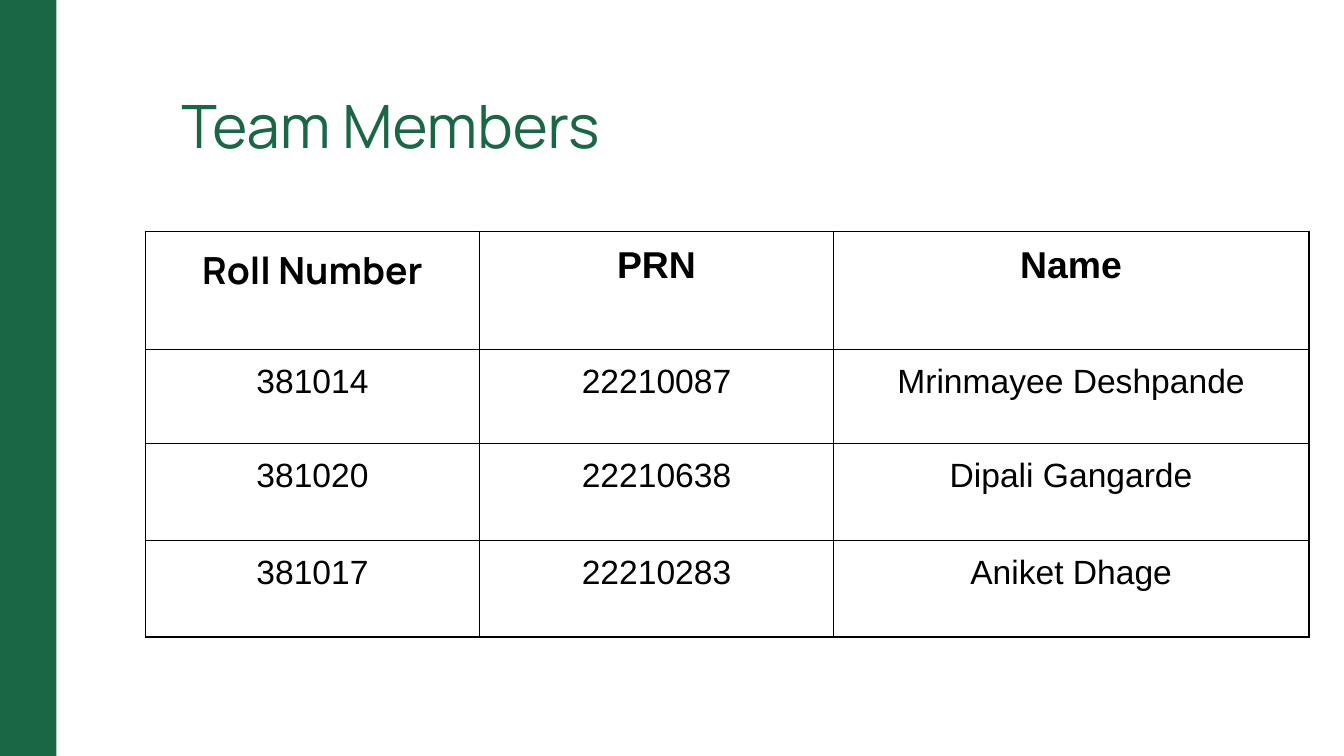
from lxml import etree
from pptx import Presentation
from pptx.dml.color import RGBColor
from pptx.enum.shapes import MSO_SHAPE
from pptx.enum.text import MSO_ANCHOR, PP_ALIGN
from pptx.oxml.ns import qn
from pptx.util import Inches, Pt

RECT = MSO_SHAPE.RECTANGLE
TOP = MSO_ANCHOR.TOP
LEFT, CENTER = PP_ALIGN.LEFT, PP_ALIGN.CENTER

COLORS = {"green": "1A6746", "black": "000000"}
WIDE = Inches(10)
HIGH = WIDE * 9 // 16
PAD = Inches(0.1)
WIDTHS = [2.49, 2.63, 3.54]
HEIGHTS = [0.88, 0.7, 0.72, 0.72]
MEMBERS = [
    ["Roll Number", "PRN", "Name"],
    ["381014", "22210087", "Mrinmayee Deshpande"],
    ["381020", "22210638", "Dipali Gangarde"],
    ["381017", "22210283", "Aniket Dhage"],
]


def color(name):
    return RGBColor.from_string(COLORS[name])


def write(frame, text, size=18, font="Arial", tint="black", bold=False, align=LEFT):
    para = frame.paragraphs[0]
    para.alignment = align
    run = para.add_run()
    run.text = text
    run.font.size = Pt(size)
    run.font.name = font
    run.font.bold = bold
    run.font.color.rgb = color(tint)


def set_pad(item):
    """Give a text frame or a cell equal margins and top anchoring."""
    item.margin_left = item.margin_right = PAD
    item.margin_top = item.margin_bottom = PAD
    item.vertical_anchor = TOP


def add_band(slide):
    band = slide.shapes.add_shape(RECT, 0, 0, Inches(0.42), HIGH)
    band.shadow.inherit = False
    band.fill.solid()
    band.fill.fore_color.rgb = color("green")
    band.line.fill.background()


def set_title(slide, text):
    title = slide.shapes.title
    title.left, title.top = Inches(1.25), Inches(0.56)
    title.width, title.height = Inches(4.06), Inches(0.56)
    frame = title.text_frame
    frame.word_wrap = True
    set_pad(frame)
    write(frame, text, size=32, font="Manrope", tint="green")


def add_border(cell):
    props = cell._tc.get_or_add_tcPr()
    for side in ("a:lnL", "a:lnR", "a:lnT", "a:lnB"):
        line = etree.SubElement(props, qn(side), w=str(Pt(0.75)))
        fill = etree.SubElement(line, qn("a:solidFill"))
        etree.SubElement(fill, qn("a:srgbClr"), val=COLORS["black"])


def add_grid(slide, rows):
    table = slide.shapes.add_table(
        len(rows), len(WIDTHS), Inches(1.08), Inches(1.72),
        Inches(sum(WIDTHS)), Inches(sum(HEIGHTS))).table
    table.first_row = table.horz_banding = False
    for col, width in zip(table.columns, WIDTHS):
        col.width = Inches(width)
    for r, (row, height) in enumerate(zip(rows, HEIGHTS)):
        table.rows[r].height = Inches(height)
        head = r == 0
        for c, text in enumerate(row):
            cell = table.cell(r, c)
            set_pad(cell)
            add_border(cell)
            cell.fill.background()
            font = "Manrope" if head and c == 0 else "Arial"
            write(cell.text_frame, text, size=20 if head else 18,
                  font=font, bold=head, align=CENTER)


def main():
    deck = Presentation()
    deck.slide_width, deck.slide_height = WIDE, HIGH
    slide = deck.slides.add_slide(deck.slide_layouts[5])
    add_band(slide)
    set_title(slide, "Team Members")
    add_grid(slide, MEMBERS)
    deck.save("out.pptx")


if __name__ == "__main__":
    main()
